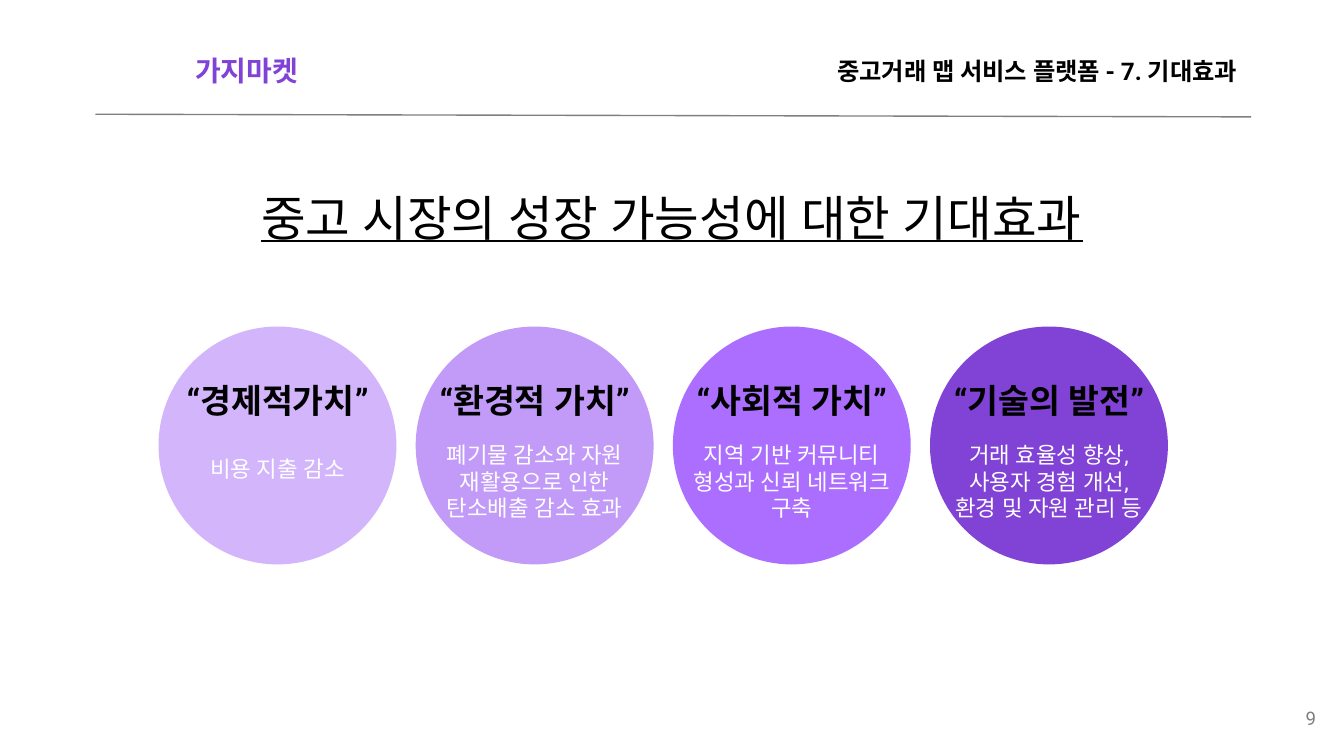
from dataclasses import dataclass

from lxml.etree import SubElement
from pptx import Presentation
from pptx.dml.color import RGBColor
from pptx.enum.shapes import MSO_CONNECTOR, MSO_SHAPE
from pptx.enum.text import MSO_ANCHOR, MSO_AUTO_SIZE, PP_ALIGN
from pptx.oxml.ns import qn
from pptx.util import Inches, Pt


@dataclass(frozen=True)
class Theme:
    font: str = "Roboto"
    black: str = "000000"
    white: str = "FFFFFF"
    gray: str = "7F7F7F"
    lilac: str = "D3B5FC"
    lavender: str = "C29BF8"
    violet: str = "AB6EFF"
    purple: str = "8142D6"
    title_size: int = 26
    heading_size: int = 18
    brand_size: int = 15
    section_size: int = 13
    body_size: int = 12
    number_size: int = 10


theme = Theme()


def paint(shape, color):
    shape.shadow.inherit = False
    shape.fill.solid()
    shape.fill.fore_color.rgb = RGBColor.from_string(color)
    shape.line.fill.background()


def write(shape, lines, size, color, align=PP_ALIGN.CENTER,
          anchor=MSO_ANCHOR.MIDDLE, bold=False, underline=False):
    frame = shape.text_frame
    frame.word_wrap = True
    frame.auto_size = MSO_AUTO_SIZE.NONE
    frame.vertical_anchor = anchor
    frame.margin_left = frame.margin_right = Inches(0.1)
    frame.margin_top = frame.margin_bottom = Inches(0.1)
    for index, line in enumerate(lines):
        paragraph = frame.add_paragraph() if index else frame.paragraphs[0]
        paragraph.alignment = align
        run = paragraph.add_run()
        run.text = line
        run.font.size = Pt(size)
        run.font.bold = bold
        run.font.underline = underline
        run.font.color.rgb = RGBColor.from_string(color)
        run.font.name = theme.font
        # Korean text takes the East Asian font
        for tag in ("a:ea", "a:cs"):
            SubElement(run.font._element, qn(tag), typeface=theme.font)


# 16:9 slide
presentation = Presentation()
presentation.slide_width = Inches(10)
presentation.slide_height = Inches(10 * 9 / 16)
slide = presentation.slides.add_slide(presentation.slide_layouts[5])

# Header rule
rule = slide.shapes.add_connector(
    MSO_CONNECTOR.STRAIGHT, Inches(0.71), Inches(0.85), Inches(9.31), Inches(0.87))
rule.line.color.rgb = RGBColor.from_string(theme.gray)
rule.line.width = Pt(0.75)
SubElement(rule.element.spPr, qn("a:effectLst"))

# Header labels
headers = [
    ("가지마켓", (1.3, 0.3, 1.07, 0.45), theme.brand_size, theme.purple, PP_ALIGN.CENTER),
    ("중고거래 맵 서비스 플랫폼 - 7. 기대효과", (4.47, 0.32, 4.83, 0.42),
     theme.section_size, theme.black, PP_ALIGN.RIGHT),
]
for text, box, size, color, align in headers:
    label = slide.shapes.add_shape(MSO_SHAPE.RECTANGLE, *map(Inches, box))
    paint(label, theme.white)
    write(label, [text], size, color, align, MSO_ANCHOR.TOP, bold=True)

# Page number
number = slide.shapes.add_textbox(Inches(9.29), Inches(5.13), Inches(0.6), Inches(0.43))
write(number, ["9"], theme.number_size, theme.gray, PP_ALIGN.RIGHT)

# Title
title = slide.shapes.title
title.left, title.top = Inches(1.3), Inches(1.21)
title.width, title.height = Inches(7.4), Inches(0.81)
write(title, ["중고 시장의 성장 가능성에 대한 기대효과"],
      theme.title_size, theme.black, underline=True)

# Value circles: fill, heading, body lines, top of the body
values = [
    (theme.lilac, "“경제적가치”", ["비용 지출 감소"], 3.24),
    (theme.lavender, "“환경적 가치”",
     ["폐기물 감소와 자원 재활용으로 인한 탄소배출 감소 효과"], 3.33),
    (theme.violet, "“사회적 가치”", ["지역 기반 커뮤니티 형성과 신뢰 네트워크 구축"], 3.33),
    (theme.purple, "“기술의 발전”",
     ["거래 효율성 향상, 사용자 경험 개선,", "환경 및 자원 관리 등"], 3.33),
]
first_left, last_left, diameter, overhang = 1.18, 6.92, 1.77, 0.14
pitch = (last_left - first_left) / (len(values) - 1)
for index, (fill, heading, body, body_top) in enumerate(values):
    left = first_left + index * pitch
    group = slide.shapes.add_group_shape()
    circle = group.shapes.add_shape(
        MSO_SHAPE.OVAL, Inches(left), Inches(2.43), Inches(diameter), Inches(diameter))
    paint(circle, fill)

    heading_box = group.shapes.add_textbox(
        Inches(left - overhang), Inches(2.73), Inches(diameter + 2 * overhang), Inches(0.5))
    write(heading_box, [heading], theme.heading_size, theme.black, bold=True)

    body_box = slide.shapes.add_textbox(
        Inches(left), Inches(body_top), Inches(diameter), Inches(0.5))
    write(body_box, body, theme.body_size, theme.white)

presentation.save("out.pptx")
